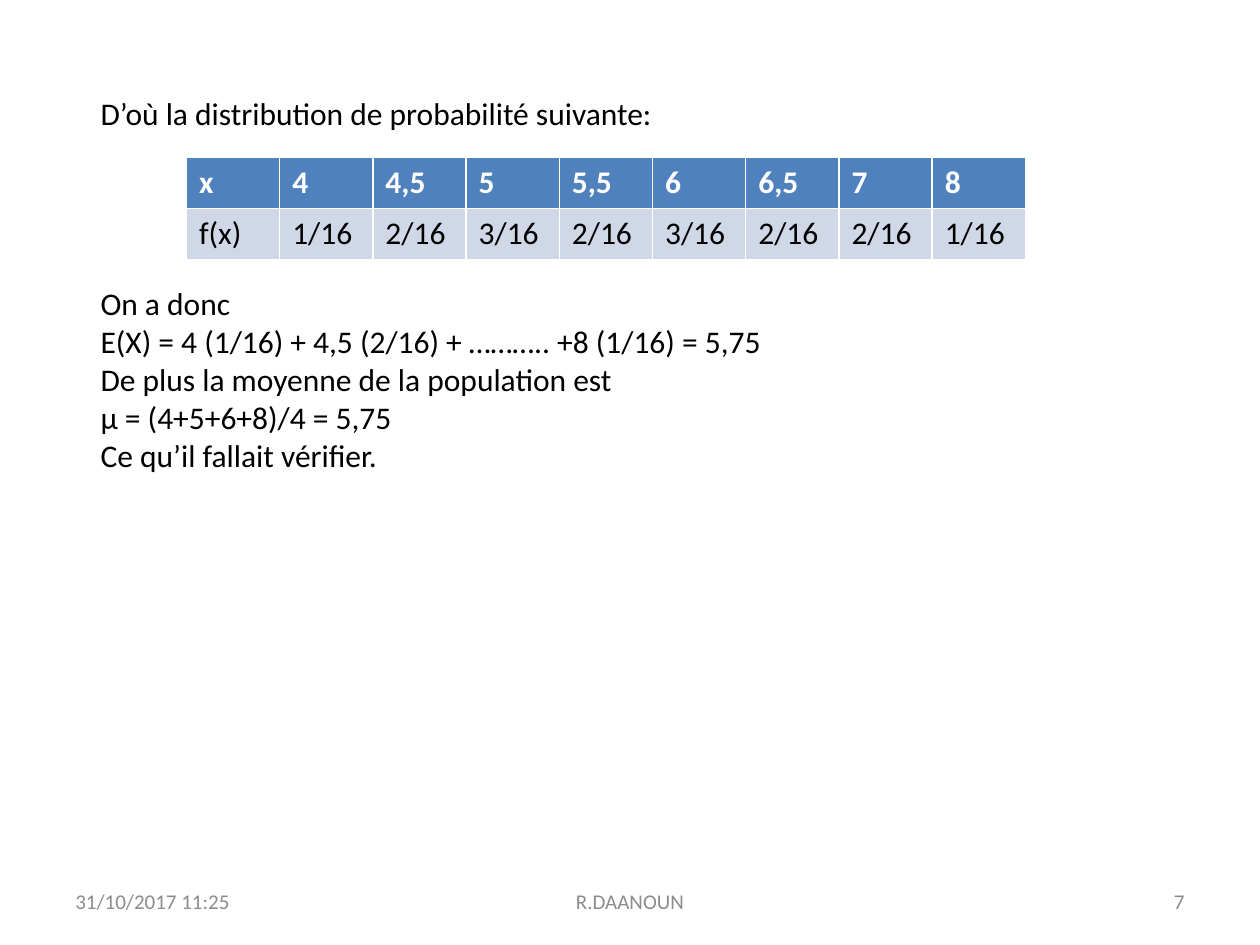
from pptx import Presentation
from pptx.dml.color import RGBColor
from pptx.enum.text import MSO_ANCHOR, PP_ALIGN
from pptx.util import Inches, Pt

LEFT, CENTER, RIGHT = PP_ALIGN.LEFT, PP_ALIGN.CENTER, PP_ALIGN.RIGHT
MIDDLE = MSO_ANCHOR.MIDDLE

COLORS = {
    "text": "000000",
    "muted": "8C8C8C",
    "head": "4F81BD",
    "head_text": "FFFFFF",
    "band": "D0D8E8",
}
INTRO = "D’où la distribution de probabilité suivante:"
PROOF = [
    "On a donc",
    "E(X) = 4 (1/16) + 4,5 (2/16) + ……….. +8 (1/16) = 5,75",
    "De plus la moyenne de la population est",
    "µ = (4+5+6+8)/4 = 5,75",
    "Ce qu’il fallait vérifier.",
]
ROWS = [
    ["x", "4", "4,5", "5", "5,5", "6", "6,5", "7", "8"],
    ["f(x)", "1/16", "2/16", "3/16", "2/16", "3/16", "2/16", "2/16", "1/16"],
]
TABLE_GAP = Pt(87)  # four lines left free for the table


def style(par, size, color, bold=False):
    font = par.font
    font.name, font.size, font.bold = "Calibri", Pt(size), bold
    font.color.rgb = RGBColor.from_string(COLORS[color])


def add_text(slide, box, lines, size, color, align=LEFT):
    frame = slide.shapes.add_textbox(*map(Inches, box)).text_frame
    frame.word_wrap = True
    frame.text = "\n".join(lines)
    for par in frame.paragraphs:
        par.alignment = align
        style(par, size, color)
    return frame


def add_body(slide, box):
    frame = add_text(slide, box, [INTRO, *PROOF], 18, "text")
    frame.paragraphs[1].space_before = TABLE_GAP


def add_grid(slide, box):
    # The default table style supplies the white borders
    table = slide.shapes.add_table(len(ROWS), len(ROWS[0]), *map(Inches, box)).table
    for r, row in enumerate(ROWS):
        head = r == 0
        for c, text in enumerate(row):
            cell = table.cell(r, c)
            cell.text = text
            cell.fill.solid()
            cell.fill.fore_color.rgb = RGBColor.from_string(
                COLORS["head" if head else "band"])
            style(cell.text_frame.paragraphs[0], 18,
                  "head_text" if head else "text", head)


def add_footer(slide, box):
    left, top, width, height = box
    side, mid = 2.33, 3.17
    parts = [
        ("31/10/2017 11:25", 0, side, LEFT),
        ("R.DAANOUN", (width - mid) / 2, mid, CENTER),
        ("7", width - side, side, RIGHT),
    ]
    for text, shift, span, align in parts:
        frame = add_text(slide, (left + shift, top, span, height),
                         [text], 12, "muted", align)
        frame.vertical_anchor = MIDDLE


def main():
    prs = Presentation()
    prs.slide_width, prs.slide_height = Inches(10), Inches(7.5)
    slide = prs.slides.add_slide(prs.slide_layouts[6])
    add_body(slide, (0.7, 0.7, 8.44, 3.43))
    add_grid(slide, (1.48, 1.25, 6.66, 0.81))
    add_footer(slide, (0.5, 6.95, 9, 0.4))
    prs.save("out.pptx")


if __name__ == "__main__":
    main()
